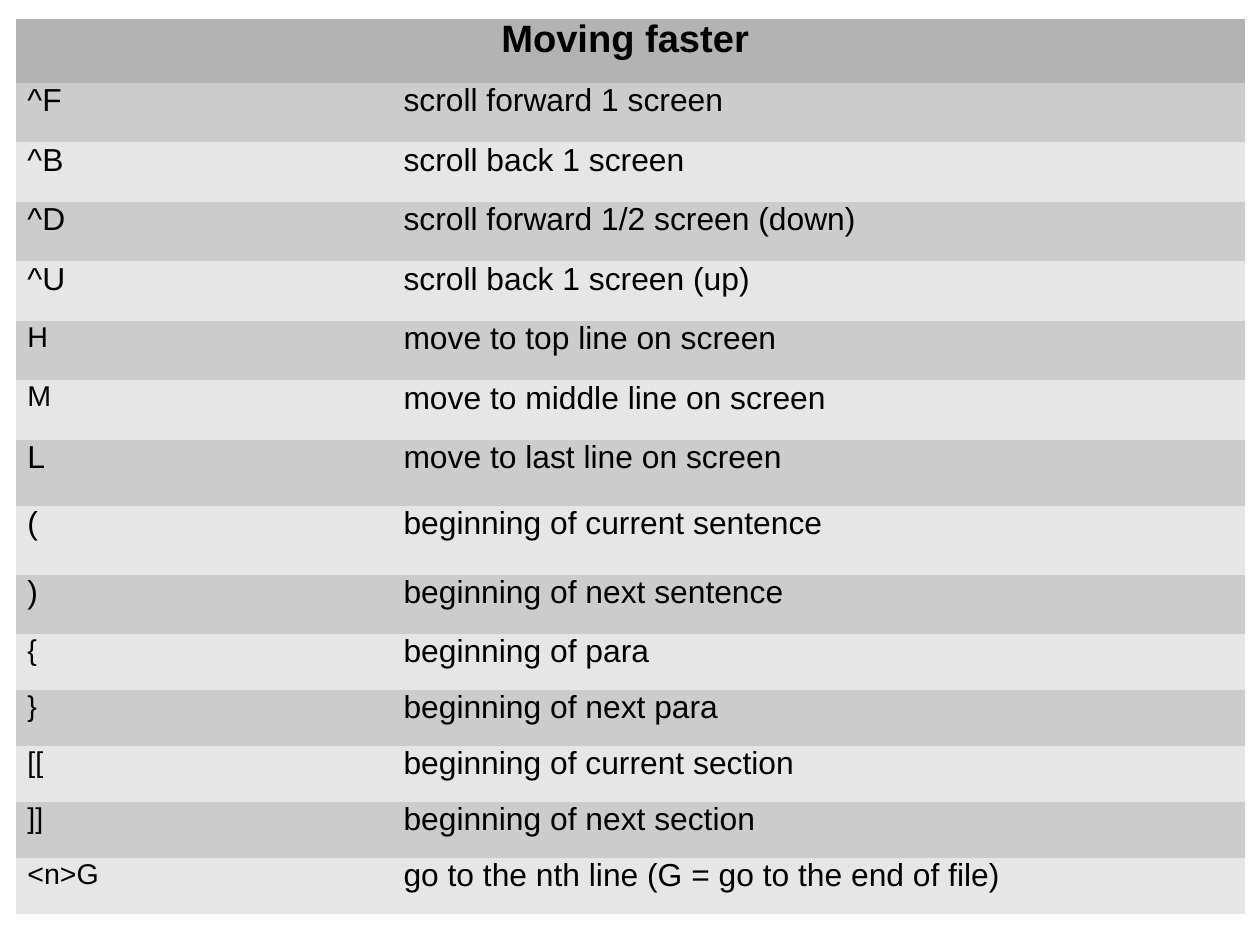
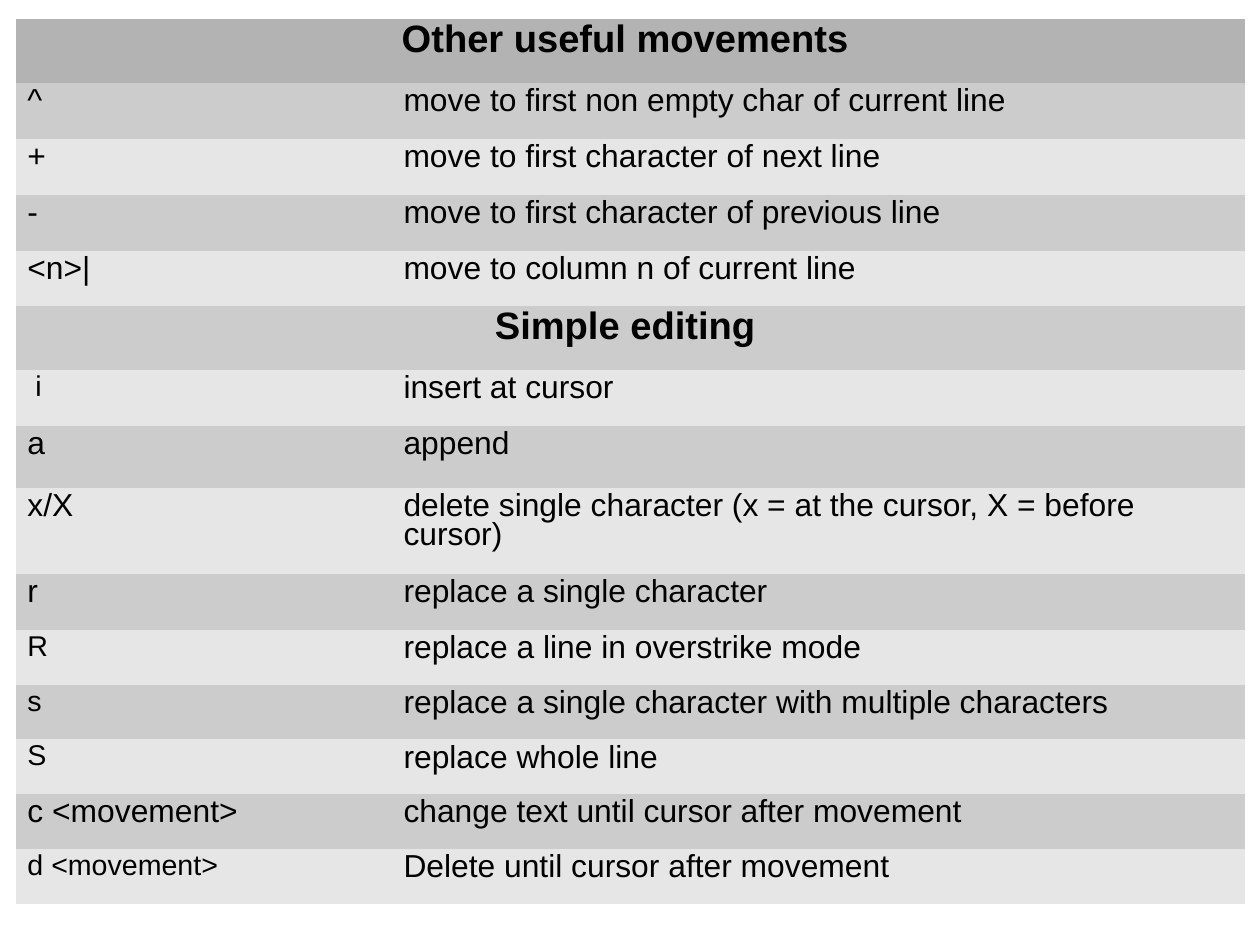
"""Build two slides of vi command reference tables."""
from pptx import Presentation
from pptx.dml.color import RGBColor
from pptx.enum.text import PP_ALIGN
from pptx.oxml.ns import qn
from pptx.util import Pt

COLORS = {"title": "B3B3B3", "dark": "CCCCCC", "light": "E6E6E6", "text": "000000"}
FONT = "Arial"
LEFT, TOP = 10.1, 12
COLUMNS = (236.9, 537.1)
HEADING_HEIGHT = 40.3
HEADING_SIZE, BODY_SIZE, SMALL_SIZE = 24, 20, 18
NO_STYLE = "{2D5ABB26-0587-4C30-8999-92F81FD0307C}"

MOVING_FASTER = [
    (HEADING_HEIGHT, "Moving faster "),
    (37.5, "^F", "scroll forward 1 screen"),
    (37.5, "^B", "scroll back 1 screen"),
    (37.5, "^D", "scroll forward 1/2 screen (down)"),
    (37.5, "^U", "scroll back 1 screen (up)"),
    (37.5, "H", "move to top line on screen", SMALL_SIZE),
    (37.5, "M", "move to middle line on screen", SMALL_SIZE),
    (41.6, "L", "move to last line on screen"),
    (43.4, "(", "beginning of current sentence"),
    (37.3, ")", "beginning of next sentence"),
    (35.3, "{", "beginning of para", SMALL_SIZE),
    (35.3, "}", "beginning of next para", SMALL_SIZE),
    (35.3, "[[", "beginning of current section", SMALL_SIZE),
    (35.3, "]]", "beginning of next section", SMALL_SIZE),
    (35.3, "<n>G", "go to the nth line (G = go to the end of file)", SMALL_SIZE),
]

MOVEMENTS_AND_EDITING = [
    (HEADING_HEIGHT, "Other useful movements "),
    (35.2, "^", "move to first non empty char of current line"),
    (35.2, "+", "move to first character of next line"),
    (35.2, "-", "move to first character of previous line"),
    (35.2, "<n>|", "move to column n of current line"),
    (HEADING_HEIGHT, "Simple editing "),
    (35.2, " i", "insert at cursor", SMALL_SIZE),
    (39, "a", "append"),
    (54.2, "x/X", "delete single character (x = at the cursor, X = before cursor)"),
    (35.2, "r", "replace a single character"),
    (34.5, "R", "replace a line in overstrike mode", SMALL_SIZE),
    (34.5, "s", "replace a single character with multiple characters", SMALL_SIZE),
    (34.5, "S", "replace whole line", SMALL_SIZE),
    (34.5, "c <movement>", "change text until cursor after movement"),
    (34.5, "d <movement>", "Delete until cursor after movement", SMALL_SIZE),
]


def band_color(index):
    if index == 0:
        return COLORS["title"]
    return COLORS["dark" if index % 2 else "light"]


def write_cell(cell, text, size, bold=False, align=PP_ALIGN.LEFT):
    p = cell.text_frame.paragraphs[0]
    p.text = text
    p.alignment = align
    p.line_spacing = 0.81
    p.font.name = FONT
    p.font.size = Pt(size)
    p.font.bold = bold
    p.font.color.rgb = RGBColor.from_string(COLORS["text"])


def fill_row(table, index, height, key, meaning=None, key_size=BODY_SIZE):
    table.rows[index].height = Pt(height)
    key_cell, meaning_cell = table.rows[index].cells
    for cell in (key_cell, meaning_cell):
        cell.fill.solid()
        cell.fill.fore_color.rgb = RGBColor.from_string(band_color(index))
    if meaning is None:
        key_cell.merge(meaning_cell)
        write_cell(key_cell, key, HEADING_SIZE, True, PP_ALIGN.CENTER)
    else:
        write_cell(key_cell, key, key_size)
        write_cell(meaning_cell, meaning, BODY_SIZE)


def add_command_slide(prs, rows):
    s = prs.slides.add_slide(prs.slide_layouts[6])
    height = sum(row[0] for row in rows)
    frame = s.shapes.add_table(len(rows), len(COLUMNS), Pt(LEFT), Pt(TOP),
                               Pt(sum(COLUMNS)), Pt(height))
    table = frame.table
    table.first_row = table.horz_banding = False
    table._tbl.tblPr.find(qn("a:tableStyleId")).text = NO_STYLE
    for column, width in zip(table.columns, COLUMNS):
        column.width = Pt(width)
    for index, row in enumerate(rows):
        fill_row(table, index, *row)


def main():
    prs = Presentation()
    prs.slide_width, prs.slide_height = Pt(793.7), Pt(595.3)
    for rows in (MOVING_FASTER, MOVEMENTS_AND_EDITING):
        add_command_slide(prs, rows)
    prs.save("out.pptx")


if __name__ == "__main__":
    main()
